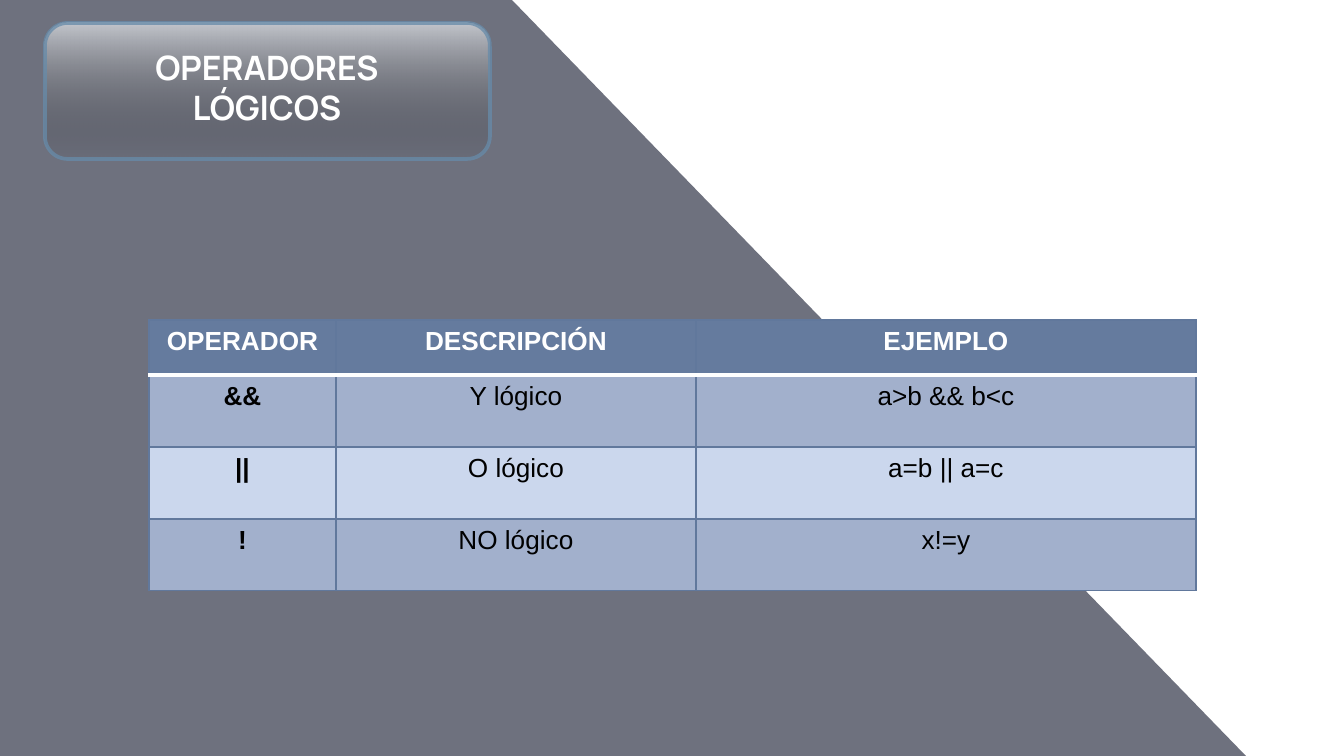
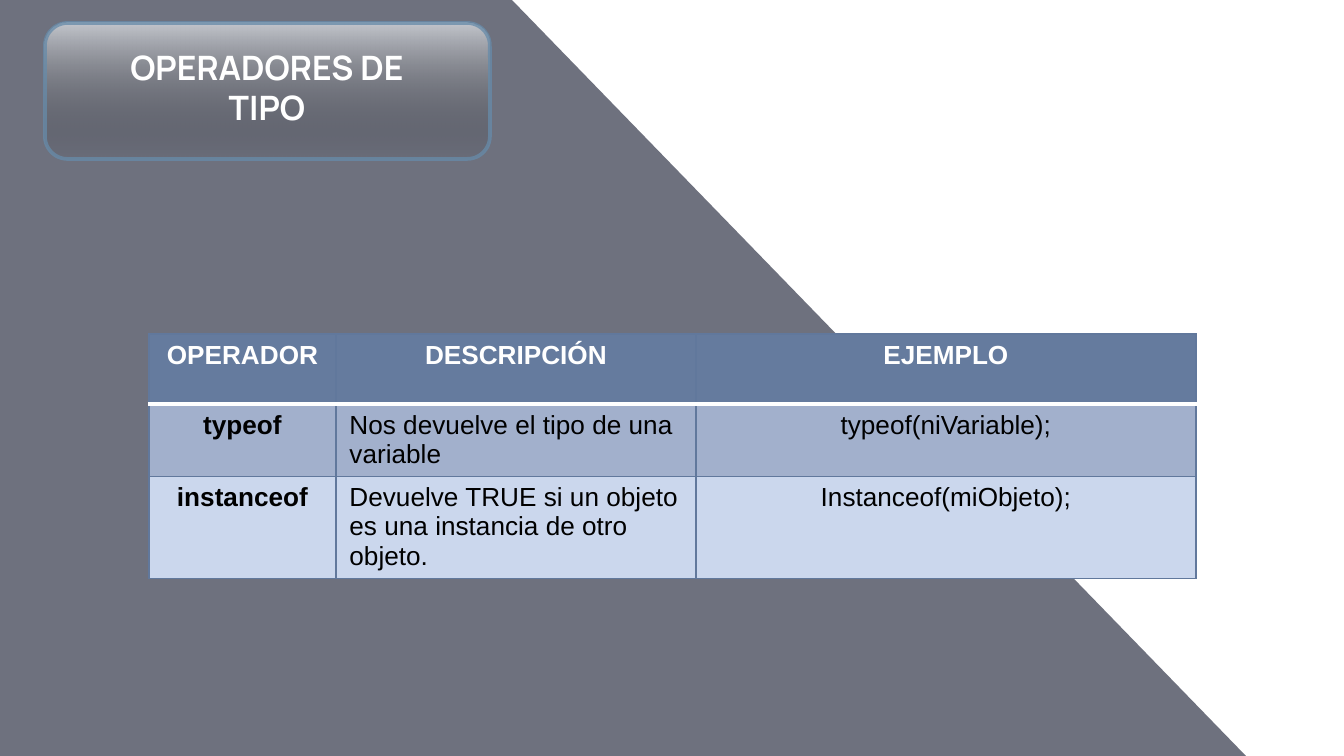
from lxml import etree
from pptx import Presentation
from pptx import util as u
from pptx.dml.color import RGBColor
from pptx.enum import shapes, text
from pptx.oxml import ns

PX = 914400 / 134.4  # EMU per px
COLORS = {
    "band": "212539", "glow": "F9FCFE", "shade": "000000", "outline": "678BA9",
    "white": "FFFFFF", "black": "000000", "border": "61789C",
    "header": "657B9E", "odd": "A2B0CC", "even": "CBD7ED",
}
RGB = {name: RGBColor.from_string(value) for name, value in COLORS.items()}
COLS = [187, 360, 500]
HEADER = ["OPERADOR", "DESCRIPCIÓN", "EJEMPLO"]
CENTER, LEFT = text.PP_ALIGN.CENTER, text.PP_ALIGN.LEFT

# Title, table top, row heights, alignment of descriptions, body rows
SLIDES = [
    ("OPERADORES LÓGICOS", 320, [55, 72, 72, 72], CENTER, [
        ["&&", "Y lógico", "a>b && b<c"],
        ["||", "O lógico", "a=b || a=c"],
        ["!", "NO lógico", "x!=y"],
    ]),
    ("OPERADORES DE TIPO", 334, [70, 72, 102], LEFT, [
        ["typeof", "Nos devuelve el tipo de una variable", "typeof(niVariable);"],
        ["instanceof", "Devuelve TRUE si un objeto es una instancia de otro objeto.",
         "Instanceof(miObjeto);"],
    ]),
]


def px(*values):
    return [round(v * PX) for v in values]


def set_alpha(sp, *percents):
    """Give the colours of a shape, in order, their opacities."""
    for clr, percent in zip(sp._element.spPr.iter(ns.qn("a:srgbClr")), percents):
        etree.SubElement(clr, ns.qn("a:alpha"), val=str(percent * 1000))


prs = Presentation()
prs.slide_width, prs.slide_height = px(1344, 756)

for title, top, heights, desc_align, body in SLIDES:
    s = prs.slides.add_slide(prs.slide_layouts[5])

    # Slanted background band
    builder = s.shapes.build_freeform(512, 0, scale=PX)
    builder.add_line_segments([(0, 0), (0, 756), (1246, 756)], close=True)
    sp = builder.convert_to_shape()
    sp.shadow.inherit = False
    sp.fill.solid()
    sp.fill.fore_color.rgb = RGB["band"]
    sp.line.fill.background()
    set_alpha(sp, 65)

    # Glass title box
    sp = s.shapes.add_shape(shapes.MSO_SHAPE.ROUNDED_RECTANGLE, *px(45, 23, 445, 136))
    sp.shadow.inherit = False
    sp.fill.gradient()
    sp.fill.gradient_angle = 270
    for stop, name, position in zip(sp.fill.gradient_stops, ["glow", "shade"], [0, 1]):
        stop.color.rgb = RGB[name]
        stop.position = position
    sp.line.color.rgb = RGB["outline"]
    sp.line.width = u.Pt(2)
    set_alpha(sp, 62, 3, 77)

    # Title, brought in front of its box
    sp = s.shapes.title
    s.shapes._spTree.append(sp._element)
    sp.left, sp.top, sp.width, sp.height = px(111, 48, 312, 93)
    tf = sp.text_frame
    tf.text = title
    tf.word_wrap = True
    tf.auto_size = text.MSO_AUTO_SIZE.NONE
    tf.vertical_anchor = text.MSO_ANCHOR.BOTTOM
    tf.margin_left = tf.margin_right = tf.margin_top = tf.margin_bottom = u.Inches(0.1)
    p = tf.paragraphs[0]
    p.alignment = CENTER
    p.font.name, p.font.size, p.font.bold = "Manrope", u.Pt(18), True
    p.font.color.rgb = RGB["white"]

    # Operator table
    rows = [HEADER] + body
    table = s.shapes.add_table(len(rows), len(COLS),
                               *px(149, top, sum(COLS), sum(heights))).table
    for col, width in zip(table.columns, COLS):
        col.width = px(width)[0]
    for row, height in zip(table.rows, heights):
        row.height = px(height)[0]
    for i, row in enumerate(rows):
        for j, value in enumerate(row):
            cell = table.cell(i, j)
            tcPr = cell._tc.get_or_add_tcPr()
            for side in "LRTB":
                rule = (i, side) in [(0, "B"), (1, "T")]
                ln = etree.SubElement(tcPr, ns.qn("a:ln" + side),
                                      w=str(u.Pt(2 if rule else 0.75)))
                fill = etree.SubElement(ln, ns.qn("a:solidFill"))
                etree.SubElement(fill, ns.qn("a:srgbClr"),
                                 val=COLORS["white" if rule else "border"])
            cell.fill.solid()
            cell.fill.fore_color.rgb = RGB["header" if i == 0 else "odd" if i % 2 else "even"]
            cell.text = value
            p = cell.text_frame.paragraphs[0]
            p.alignment = desc_align if i and j == 1 else CENTER
            p.font.name, p.font.size = "Arial", u.Pt(14)
            p.font.bold = i == 0 or j == 0
            p.font.color.rgb = RGB["black" if i else "white"]

prs.save("out.pptx")
